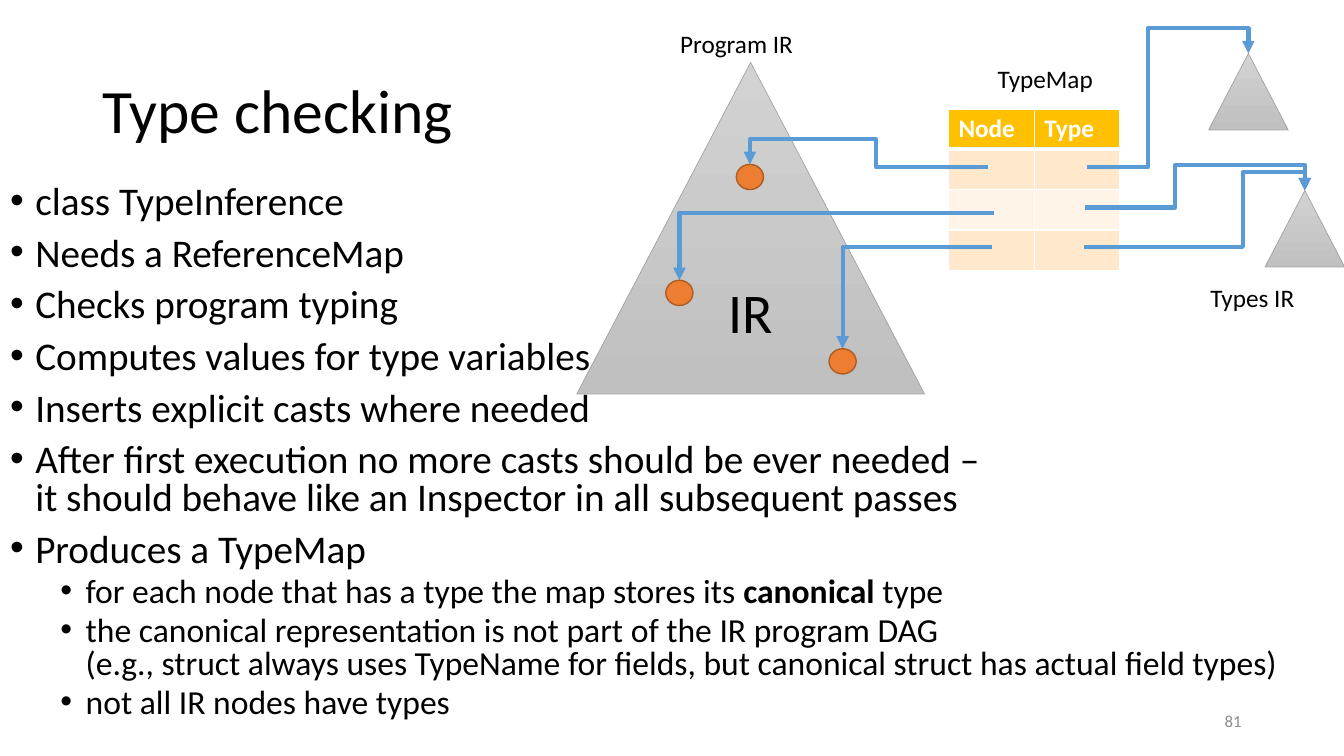
from collections import namedtuple
from lxml.etree import SubElement
from pptx import Presentation
from pptx.dml.color import RGBColor
from pptx.enum.shapes import MSO_CONNECTOR as Link, MSO_SHAPE as Shape
from pptx.enum.text import MSO_ANCHOR as Anchor, MSO_AUTO_SIZE as Fit, PP_ALIGN as Align
from pptx.oxml.ns import qn
from pptx.util import Pt

Box = namedtuple("Box", "left top width height")
Arrow = namedtuple("Arrow", "start end turn")

BULLETS = [
    (0, ["class TypeInference"]),
    (0, ["Needs a ReferenceMap"]),
    (0, ["Checks program typing"]),
    (0, ["Computes values for type variables"]),
    (0, ["Inserts explicit casts where needed"]),
    (0, ["After first execution no more casts should be ever needed –", "\n",
         "it should behave like an Inspector in all subsequent passes"]),
    (0, ["Produces a TypeMap"]),
    (1, ["for each node that has a type the map stores its ", "*canonical", " type"]),
    (1, ["the canonical representation is not part of the IR program DAG", "\n",
         "(e.g., struct always uses TypeName for fields, but canonical struct has actual field types)"]),
    (1, ["not all IR nodes have types"]),
]
NODE_TOPS = [(123.7, 101.4), (73.3, 184.2), (189.9, 233.1)]
TYPE_CORNERS = [(451.3, 22.2), (491.6, 120.1)]
TYPE_WIDTH, TYPE_HEIGHT = 56.9, 54.7
TYPE_APEXES = [(left + TYPE_WIDTH / 2, top) for left, top in TYPE_CORNERS]
ARROWS = [
    Arrow((293.6, 103.5), NODE_TOPS[0], (213.7, 83.4)),
    Arrow((297.9, 135.9), NODE_TOPS[1], None),
    Arrow((296.5, 160.4), NODE_TOPS[2], None),
    Arrow((364.2, 103.5), TYPE_APEXES[0], (408.1, 4.2)),
    Arrow((363.4, 132.3), TYPE_APEXES[1], (427.5, 102.1)),
    Arrow((362, 160.4), TYPE_APEXES[1], (475.8, 107.1)),
]


def color(code):
    return RGBColor.from_string(code)


def assign(target, **values):
    for name, value in values.items():
        setattr(target, name, value)


def points(*lengths):
    return [Pt(length) for length in lengths]


def inside(box, left, top, width, height):
    return Box(box.left + left, box.top + top, width, height)


def place(shape, box):
    assign(shape, **dict(zip(box._fields, points(*box))))


def write(para, text, size, code="000000", bold=False):
    span = para.add_run()
    span.text = text
    assign(span.font, name="Calibri", size=Pt(size), bold=bold)
    span.font.color.rgb = color(code)


def add_label(page, box, text, size=18, code="000000", **frame_format):
    frame = page.shapes.add_textbox(*points(*box)).text_frame
    assign(frame, **{"word_wrap": False, "auto_size": Fit.SHAPE_TO_FIT_TEXT, **frame_format})
    write(frame.paragraphs[0], text, size, code)
    return frame


def add_outline(page, kind, box, line_code, line_width):
    shape = page.shapes.add_shape(kind, *points(*box))
    shape.shadow.inherit = False
    shape.line.color.rgb = color(line_code)
    shape.line.width = Pt(line_width)
    return shape


def add_triangle(page, box):
    triangle = add_outline(page, Shape.ISOSCELES_TRIANGLE, box, "A5A5A5", 0.5)
    triangle.fill.gradient()
    triangle.fill.gradient_angle = 270
    for stop, code in zip(triangle.fill.gradient_stops, ("D2D2D2", "C0C0C0")):
        stop.color.rgb = color(code)
    return triangle


def fill_title(page, box):
    title = page.shapes.title
    place(title, box)
    assign(title.text_frame, vertical_anchor=Anchor.MIDDLE, auto_size=Fit.NONE)
    para = title.text_frame.paragraphs[0]
    assign(para, alignment=Align.LEFT, line_spacing=0.9)
    write(para, "Type checking", 44)


def fill_body(page, box):
    body = page.placeholders[1]
    place(body, box)
    frame = body.text_frame
    frame.auto_size = Fit.NONE
    for index, (level, spans) in enumerate(BULLETS):
        para = frame.add_paragraph() if index else frame.paragraphs[0]
        props = para._p.get_or_add_pPr()
        props.set("marL", str(Pt(18 + 36 * level)))
        props.set("indent", str(-Pt(18)))
        SubElement(props, qn("a:buFont"), typeface="Arial")
        SubElement(props, qn("a:buChar"), char="•")
        gap = (10, 5)[level] if index else 0
        assign(para, level=level, line_spacing=0.8, space_before=Pt(gap), space_after=Pt(0))
        for text in spans:
            if text == "\n":
                para.add_line_break()
            else:
                write(para, text.lstrip("*"), (28, 24)[level], bold=text.startswith("*"))


def add_borders(cell, bottom_width):
    props = cell._tc.get_or_add_tcPr()
    for side, width in zip("LRTB", (1, 1, 1, bottom_width)):
        edge = SubElement(props, qn(f"a:ln{side}"), w=str(Pt(width)))
        SubElement(SubElement(edge, qn("a:solidFill")), qn("a:srgbClr"), val="FFFFFF")


def draw_type_map(page, box):
    table = page.shapes.add_table(4, 2, *points(*box)).table
    for row, code in enumerate(("FFC000", "FFE8CC", "FFF4E7", "FFE8CC")):
        table.rows[row].height = Pt(box.height / 4)
        for column, heading in enumerate(("Node", "Type")):
            cell = table.cell(row, column)
            add_borders(cell, 1 if row else 3)
            cell.fill.solid()
            cell.fill.fore_color.rgb = color(code)
            if row == 0:
                write(cell.text_frame.paragraphs[0], heading, 18, "FFFFFF", True)


def draw_arrow(page, box, arrow):
    start, end, turn = arrow
    ends = [box.left + start[0], box.top + start[1], box.left + end[0], box.top + end[1]]
    link = page.shapes.add_connector(Link.ELBOW, *points(*ends))
    link.line.color.rgb = color("5B9BD5")
    link.line.width = Pt(3)
    SubElement(link.line._get_or_add_ln(), qn("a:tailEnd"), type="triangle")
    props = link._element.spPr
    SubElement(props, qn("a:effectLst"))
    geometry = props.find(qn("a:prstGeom"))
    geometry.set("prst", "bentConnector4" if turn else "bentConnector2")
    if turn:
        guides = geometry.get_or_add_avLst()
        for axis in (0, 1):
            share = (turn[axis] - start[axis]) / (end[axis] - start[axis])
            SubElement(guides, qn("a:gd"), name=f"adj{axis + 1}", fmla=f"val {round(share * 100000)}")


def draw_diagram(page, box):
    program = add_triangle(page, inside(box, 0, 28.6, 248.4, 236.9))
    program.text_frame.vertical_anchor = Anchor.MIDDLE
    para = program.text_frame.paragraphs[0]
    para.alignment = Align.CENTER
    write(para, "IR", 40)
    add_label(page, inside(box, 293.6, 25.8, 83.5, 28.8), "TypeMap")
    for left, top in TYPE_CORNERS:
        add_triangle(page, inside(box, left, top, TYPE_WIDTH, TYPE_HEIGHT))
    draw_type_map(page, inside(box, 265.5, 61.8, 122.4, 114.4))
    for arrow in ARROWS:
        draw_arrow(page, box, arrow)
    for center, top in NODE_TOPS:
        node = add_outline(page, Shape.OVAL, inside(box, center - 9.7, top, 19.4, 18), "AF5C24", 1)
        node.fill.solid()
        node.fill.fore_color.rgb = color("ED7D31")
    add_label(page, inside(box, 66.8, 0.6, 95.8, 28.8), "Program IR")
    add_label(page, inside(box, 445.5, 182, 74.9, 28.8), "Types IR")


def add_page_number(page, box):
    frame = add_label(page, box, "81", 12, "8C8C8C", word_wrap=True,
                      auto_size=Fit.NONE, vertical_anchor=Anchor.MIDDLE)
    frame.paragraphs[0].alignment = Align.RIGHT


def main():
    deck = Presentation()
    assign(deck, slide_width=Pt(960), slide_height=Pt(540))
    page = deck.slides.add_slide(deck.slide_layouts[1])
    fill_title(page, Box(66, 28.8, 828, 104.4))
    fill_body(page, Box(0, 128.9, 960, 411.1))
    draw_diagram(page, Box(412, 16, 548, 266))
    add_page_number(page, Box(678, 500.5, 216, 28.8))
    deck.save("out.pptx")


if __name__ == "__main__":
    main()
